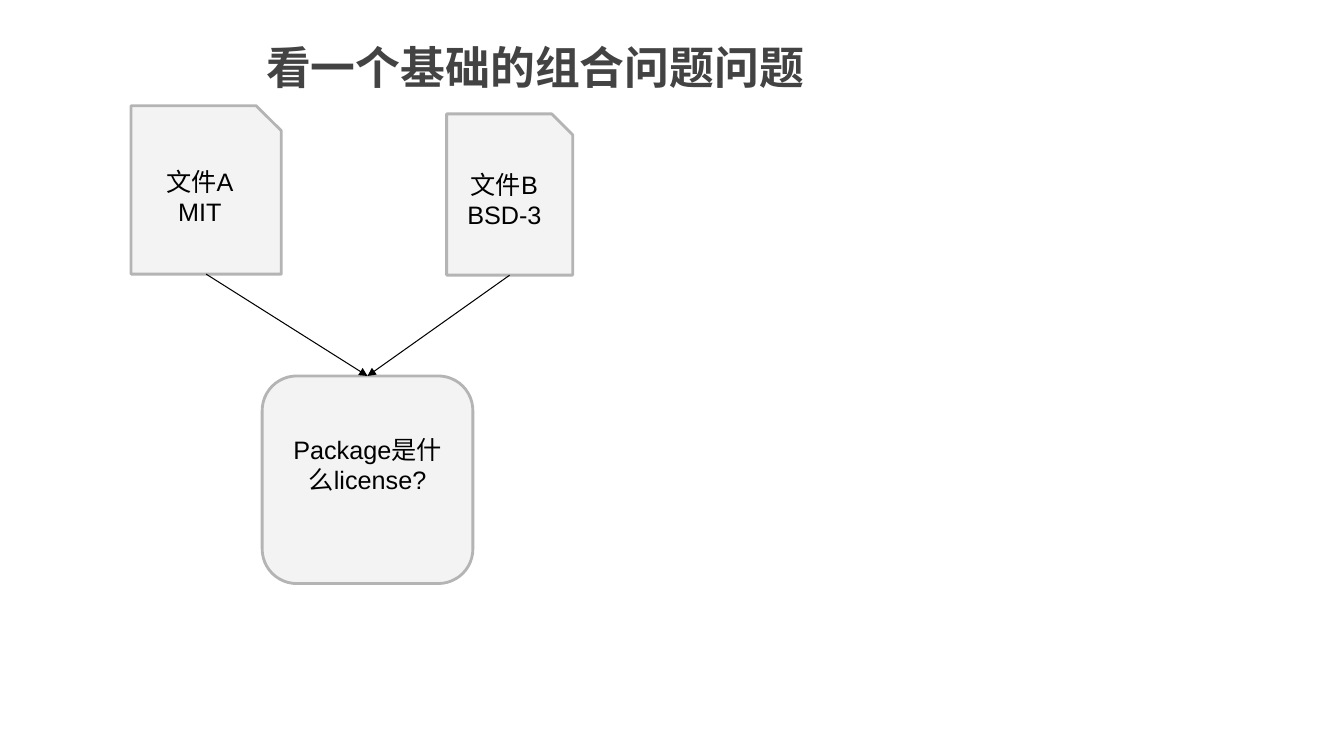
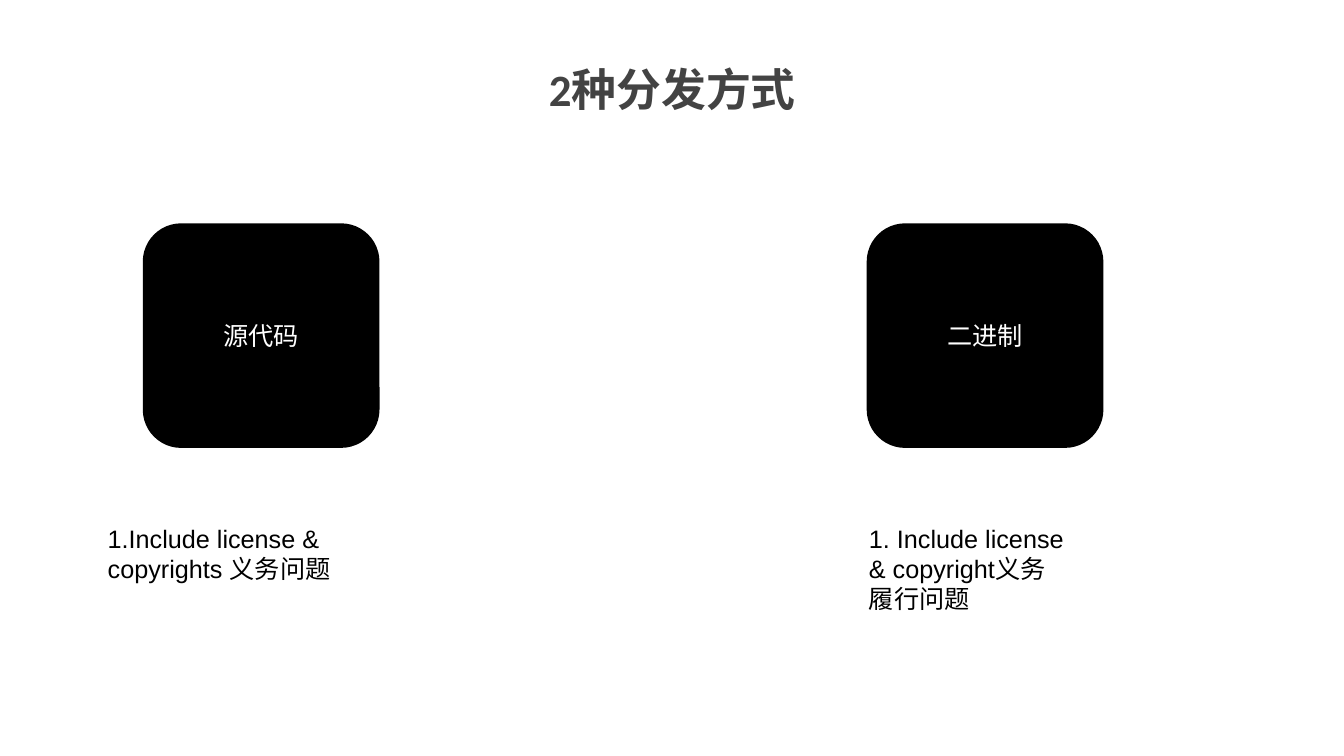
from lxml import etree
from pptx import Presentation
from pptx.dml.color import RGBColor
from pptx.enum import shapes, text
from pptx.oxml.ns import qn
from pptx.util import Inches, Pt

BLACK = RGBColor(0x00, 0x00, 0x00)
WHITE = RGBColor(0xFF, 0xFF, 0xFF)
TITLE_GRAY = RGBColor(0x43, 0x43, 0x43)
PALE = RGBColor(0xF3, 0xF3, 0xF3)
BORDER = RGBColor(0xB4, 0xB4, 0xB4)

SNIP = shapes.MSO_SHAPE.SNIP_1_RECTANGLE
ROUND = shapes.MSO_SHAPE.ROUNDED_RECTANGLE
TOP, BOTTOM = 0, 2
CENTER, LEFT = text.PP_ALIGN.CENTER, text.PP_ALIGN.LEFT


def write(tf, lines, font="Arial", size=18, color=BLACK, bold=False,
          align=CENTER, anchor=text.MSO_ANCHOR.MIDDLE, inset=None):
    """Fill a text frame, one paragraph for each line."""
    tf.word_wrap = True
    tf.vertical_anchor = anchor
    if inset is not None:
        tf.margin_left = tf.margin_right = Inches(inset)
        tf.margin_top = tf.margin_bottom = Inches(inset)
    for i, line in enumerate(lines.split("\n")):
        p = tf.add_paragraph() if i else tf.paragraphs[0]
        p.alignment = align
        r = p.add_run()
        r.text = line
        r.font.name, r.font.size, r.font.bold = font, Pt(size), bold
        r.font.color.rgb = color


class Deck:
    def __init__(self):
        self.prs = Presentation()
        self.prs.slide_width, self.prs.slide_height = Inches(13.33), Inches(7.5)
        self.s = None

    def slide(self, title, x, y, h):
        self.s = self.prs.slides.add_slide(self.prs.slide_layouts[6])
        self.label(title, x, y, 7.6, h, font="Calibri", size=32, bold=True,
                   color=TITLE_GRAY, align=CENTER, inset=0.1)

    def label(self, lines, x, y, w, h, align=LEFT, **fmt):
        sp = self.s.shapes.add_textbox(Inches(x), Inches(y), Inches(w), Inches(h))
        write(sp.text_frame, lines, align=align, anchor=text.MSO_ANCHOR.TOP, **fmt)

    def box(self, kind, lines, x, y, w, h, fill=PALE, line=BORDER, color=BLACK):
        sp = self.s.shapes.add_shape(kind, Inches(x), Inches(y), Inches(w), Inches(h))
        sp.shadow.inherit = False
        sp.fill.solid()
        sp.fill.fore_color.rgb = fill
        sp.line.color.rgb = line
        sp.line.width = Pt(2)
        write(sp.text_frame, lines, color=color)
        return sp

    def arrow(self, start, end):
        """Arrow from the bottom of one box to the top of another."""
        c = self.s.shapes.add_connector(shapes.MSO_CONNECTOR.STRAIGHT, 0, 0, 0, 0)
        c.begin_connect(start, BOTTOM)
        c.end_connect(end, TOP)
        c.line.color.rgb = BLACK
        c.line.width = Pt(0.75)
        ln = c.line._get_or_add_ln()
        etree.SubElement(ln, qn("a:tailEnd"), type="triangle")
        etree.SubElement(c._element.spPr, qn("a:effectLst"))


def main():
    deck = Deck()

    # Combining two licensed files
    deck.slide("看一个基础的组合问题问题", 1.51, 0.29, 0.75)
    files = [
        deck.box(SNIP, "文件A\nMIT", 1.3, 1.05, 1.49, 1.67),
        deck.box(SNIP, "文件B\nBSD-3", 4.43, 1.13, 1.25, 1.6),
    ]
    package = deck.box(ROUND, "Package是什么license?", 2.6, 3.73, 2.09, 2.06)
    package.text_frame.margin_bottom = Inches(0.35)
    for file in files:
        deck.arrow(file, package)

    # Two ways to distribute
    deck.slide("2种分发方式", 2.87, 0.51, 0.64)
    ways = [
        ("源代码", 1.43, "1.Include license & copyrights 义务问题", 0.97, 2.64),
        ("二进制", 8.61, "1. Include license & copyright义务履行问题", 8.52, 2.18),
    ]
    for name, x, note, note_x, note_w in ways:
        deck.box(ROUND, name, x, 2.23, 2.32, 2.2, fill=BLACK, line=BLACK, color=WHITE)
        deck.label(note, note_x, 5.14, note_w, 1)

    deck.prs.save("out.pptx")


if __name__ == "__main__":
    main()
